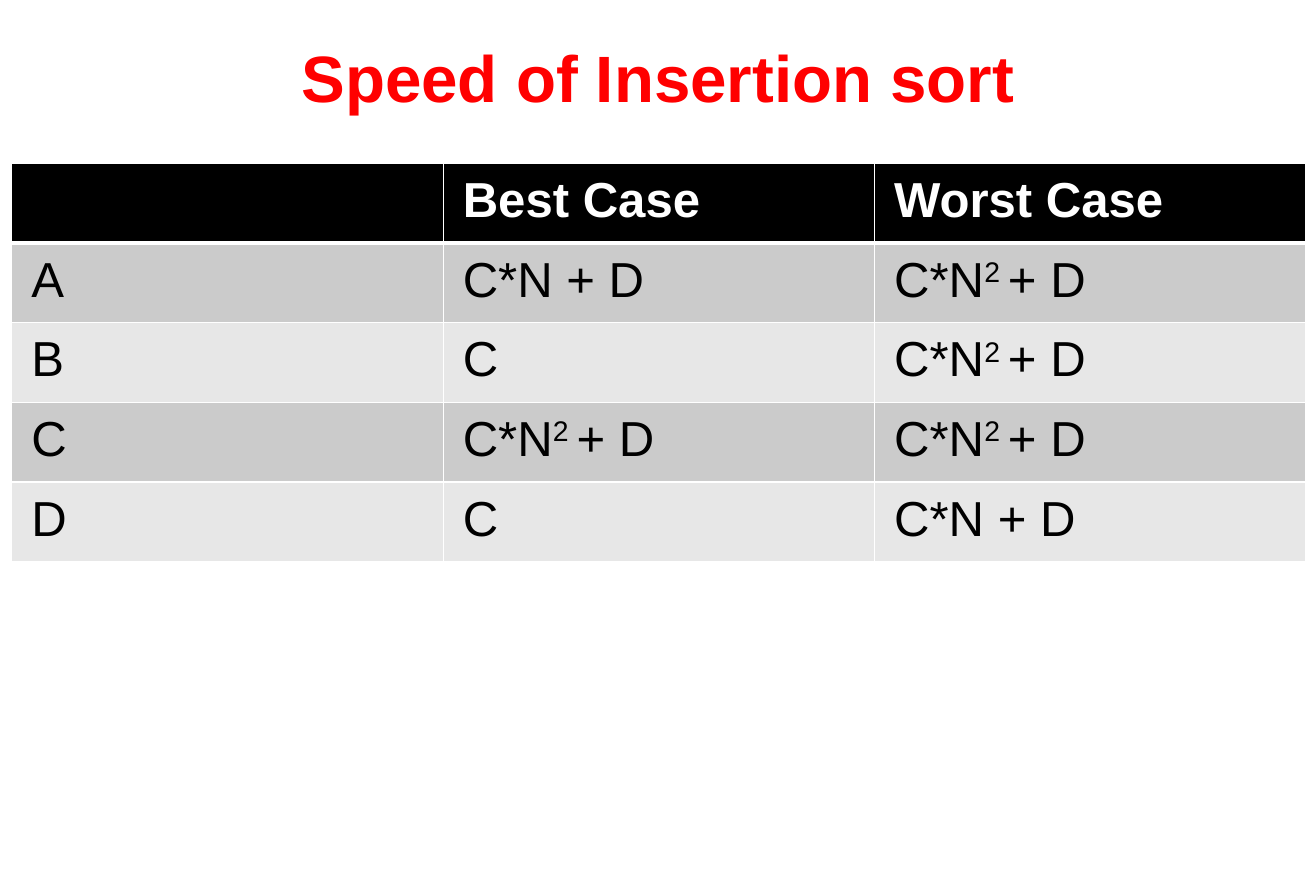
from lxml import etree
from pptx import Presentation
from pptx.dml.color import RGBColor
from pptx.enum.text import MSO_ANCHOR, PP_ALIGN
from pptx.oxml.ns import qn
from pptx.util import Inches, Pt

CENTER = PP_ALIGN.CENTER
MIDDLE = MSO_ANCHOR.MIDDLE
TITLE_ONLY = 5
FONT = "Arial"
BLACK, WHITE, RED = "000000", "FFFFFF", "FF0000"
BAND_COLORS = ["CBCBCB", "E7E7E7"]
THIN, THICK = 0.45, 1.47

LINEAR = ["C*N + D"]
QUADRATIC = ["C*N", "2 ", "+ D"]  # the second part is raised
ROWS = [
    [[], ["Best Case"], ["Worst Case"]],
    [["A"], LINEAR, QUADRATIC],
    [["B"], ["C"], QUADRATIC],
    [["C"], QUADRATIC, QUADRATIC],
    [["D"], ["C"], LINEAR],
]


def color(value):
    return RGBColor.from_string(value)


def set_attributes(target, values):
    for name, value in values.items():
        setattr(target, name, value)


def add_run(paragraph, text, size, text_color, bold):
    run = paragraph.add_run()
    run.text = text
    set_attributes(run.font, {"name": FONT, "size": Pt(size), "bold": bold})
    run.font.color.rgb = color(text_color)
    return run


def add_title(slide, text):
    title = slide.shapes.title
    set_attributes(title, {"left": Inches(0), "top": Inches(0.08),
                           "width": Inches(6.7), "height": Inches(0.62)})
    frame = title.text_frame
    set_attributes(frame, {
        "word_wrap": True, "vertical_anchor": MIDDLE,
        "margin_left": Inches(0.07), "margin_right": Inches(0.07),
        "margin_top": Inches(0.03), "margin_bottom": Inches(0.03)})
    paragraph = frame.paragraphs[0]
    paragraph.alignment = CENTER
    add_run(paragraph, text, 24, RED, True)


def add_border(cell, side, width):
    properties = cell._tc.get_or_add_tcPr()
    line = etree.SubElement(properties, qn(f"a:ln{side}"), w=str(Pt(width)))
    fill = etree.SubElement(line, qn("a:solidFill"))
    etree.SubElement(fill, qn("a:srgbClr"), val=WHITE)


def format_cell(cell, row_index, parts):
    is_header = row_index == 0
    # Borders come before the fill; the rule below the header is thicker
    widths = {"L": THIN, "R": THIN,
              "T": THICK if row_index == 1 else THIN,
              "B": THICK if is_header else THIN}
    for side, width in widths.items():
        add_border(cell, side, width)
    cell.fill.solid()
    band = BAND_COLORS[(row_index - 1) % 2]
    cell.fill.fore_color.rgb = color(BLACK if is_header else band)
    set_attributes(cell, {
        "margin_left": Inches(0.1), "margin_right": Inches(0.1),
        "margin_top": Inches(0.05), "margin_bottom": Inches(0.05)})
    # Text
    paragraph = cell.text_frame.paragraphs[0]
    for part_index, text in enumerate(parts):
        run = add_run(paragraph, text, 18, WHITE if is_header else BLACK, is_header)
        if part_index == 1:
            run.font._element.set("baseline", "30000")


def add_speed_table(slide):
    frame = slide.shapes.add_table(len(ROWS), len(ROWS[0]), Inches(0.06),
                                   Inches(0.83), Inches(6.59), Inches(2.03))
    for row_index, row in enumerate(ROWS):
        for column_index, parts in enumerate(row):
            format_cell(frame.table.cell(row_index, column_index), row_index, parts)


def main():
    presentation = Presentation()
    presentation.slide_width = Inches(6.7)
    presentation.slide_height = Inches(4.5)
    slide = presentation.slides.add_slide(presentation.slide_layouts[TITLE_ONLY])
    add_title(slide, "Speed of Insertion sort")
    add_speed_table(slide)
    presentation.save("out.pptx")


if __name__ == "__main__":
    main()
